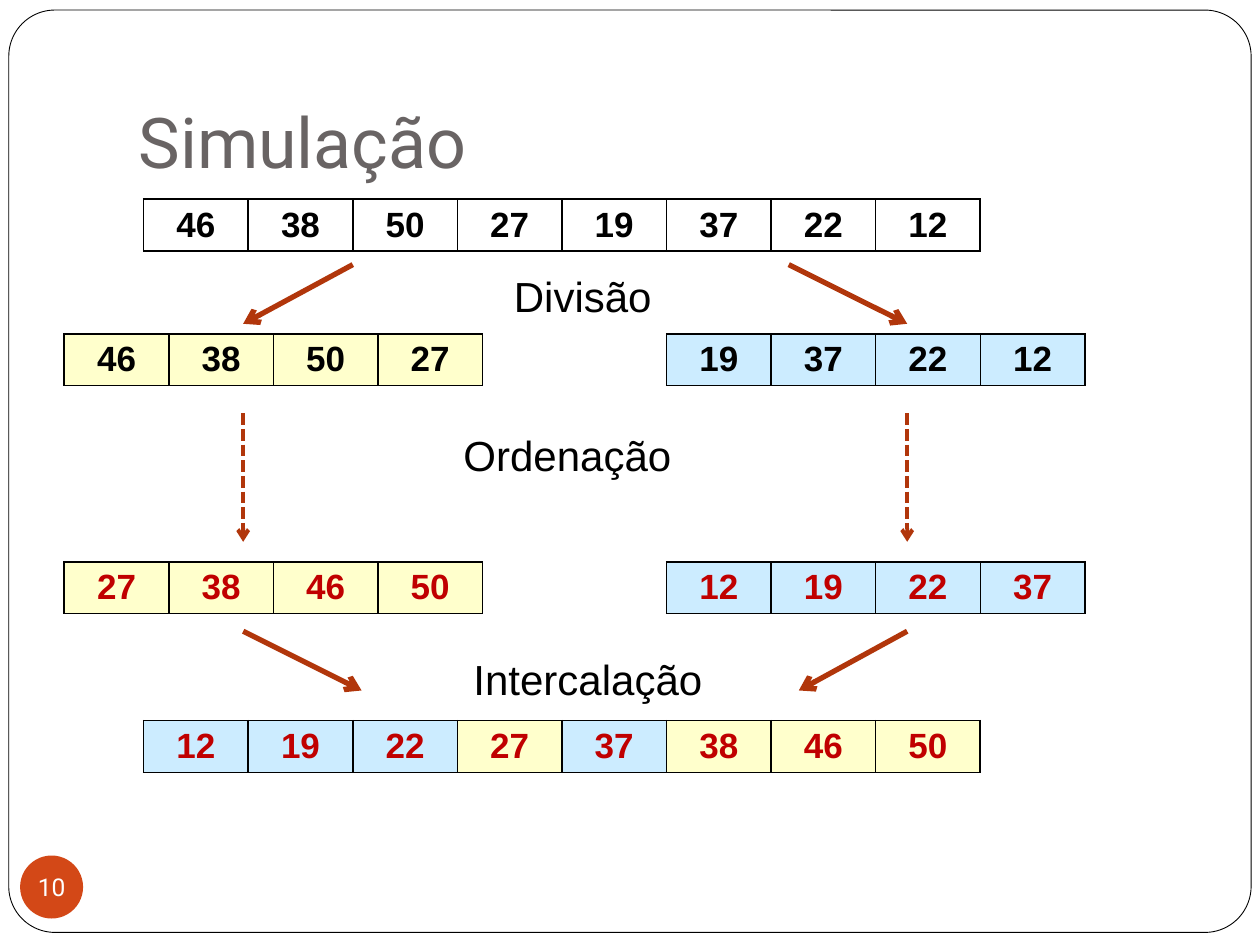
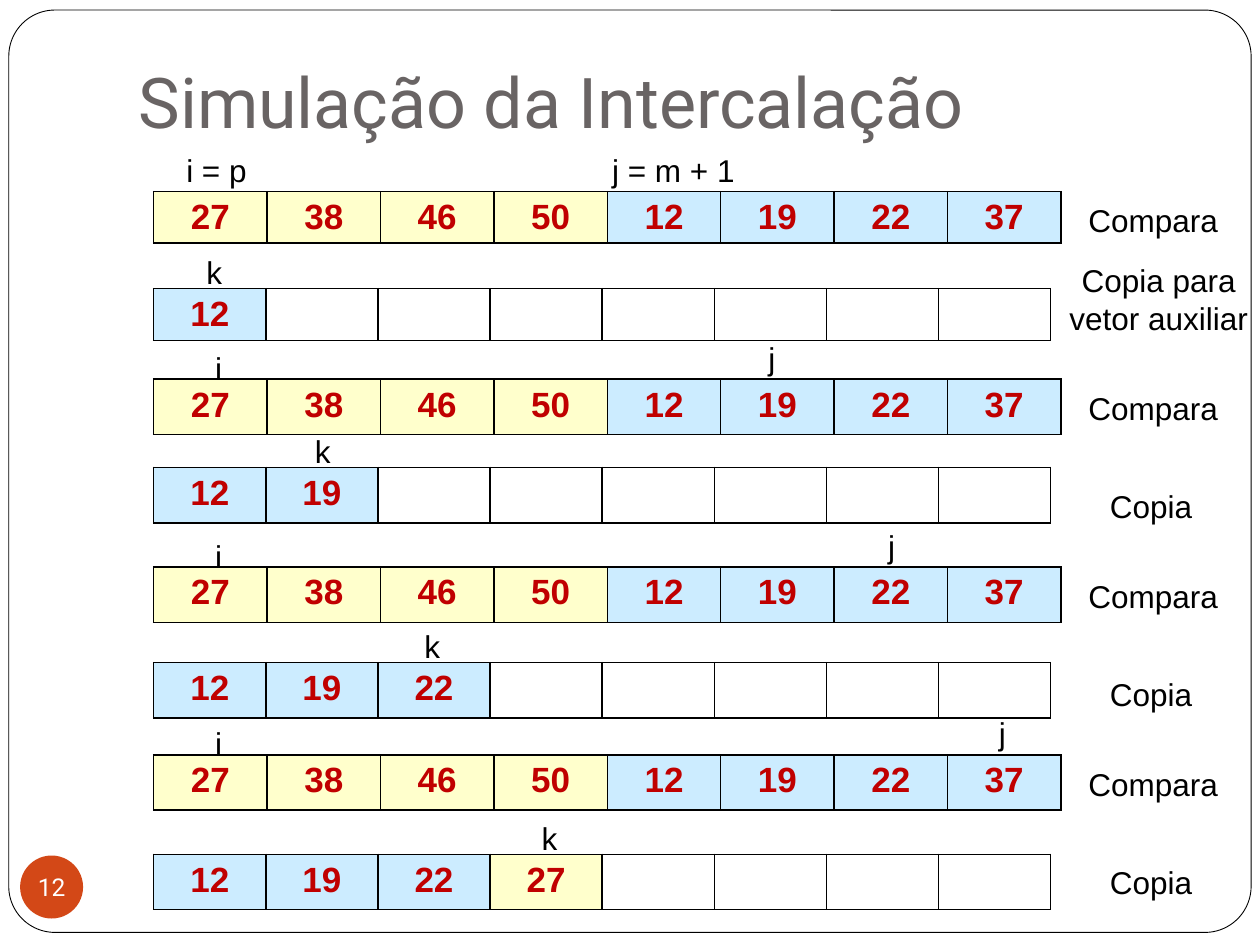
from lxml import etree
from pptx import Presentation
from pptx.dml.color import RGBColor
from pptx.enum.dml import MSO_LINE
from pptx.enum.shapes import MSO_CONNECTOR, MSO_SHAPE
from pptx.enum.text import MSO_ANCHOR, MSO_AUTO_SIZE, PP_ALIGN
from pptx.oxml.ns import qn
from pptx.util import Inches, Pt

STRAIGHT = MSO_CONNECTOR.STRAIGHT
DASH = MSO_LINE.SQUARE_DOT
CENTER, LEFT = PP_ALIGN.CENTER, PP_ALIGN.LEFT

HEX = {
    "white": "FFFFFF", "black": "000000", "title": "696464", "badge": "D34817",
    "arrow": "B1360B", "left half": "FFFFCC", "right half": "CCECFF", "sorted": "C00000",
}
COLOR = {name: RGBColor.from_string(value) for name, value in HEX.items()}
HEADING_FONT, BODY_FONT = "Roboto", "Arial"

UNSORTED = [46, 38, 50, 27, 19, 37, 22, 12]
LEFT_SORTED, RIGHT_SORTED = sorted(UNSORTED[:4]), sorted(UNSORTED[4:])
MERGED = sorted(UNSORTED)


def add_array(slide, values, x, y, cell_width, height=0.41, ink="sorted", tinted=True):
    """Draw an array as a one-row table, tinted by the half each value came from."""
    array = slide.shapes.add_table(1, len(values), Inches(x), Inches(y),
                                   Inches(cell_width * len(values)), Inches(height)).table
    array.first_row = array.horz_banding = False
    for column, cell, value in zip(array.columns, array.rows[0].cells, values):
        column.width = Inches(cell_width)
        # Borders come before the fill in the cell properties
        properties = cell._tc.get_or_add_tcPr()
        for side in ("a:lnL", "a:lnR", "a:lnT", "a:lnB"):
            border = etree.SubElement(properties, qn(side), w=str(Pt(1)))
            border_fill = etree.SubElement(border, qn("a:solidFill"))
            etree.SubElement(border_fill, qn("a:srgbClr"), val=HEX["black"])
        tint = "white"
        if tinted and value is not None:
            tint = "left half" if value in LEFT_SORTED else "right half"
        cell.fill.solid()
        cell.fill.fore_color.rgb = COLOR[tint]
        if value is not None:
            cell.text = str(value)
        paragraph = cell.text_frame.paragraphs[0]
        paragraph.alignment = CENTER
        paragraph.font.name, paragraph.font.size = BODY_FONT, Pt(20)
        paragraph.font.bold = True
        paragraph.font.color.rgb = COLOR[ink]


def add_label(slide, text, x, y, width, size=18, height=0.4, align=LEFT, wrap=False):
    label = slide.shapes.add_textbox(Inches(x), Inches(y), Inches(width), Inches(height))
    frame = label.text_frame
    frame.word_wrap = wrap
    if wrap:
        frame.margin_left = frame.margin_right = Inches(0.05)
    frame.text = text
    paragraph = frame.paragraphs[0]
    paragraph.alignment = align
    paragraph.font.name, paragraph.font.size = BODY_FONT, Pt(size)
    paragraph.font.color.rgb = COLOR["black"]


prs = Presentation()
prs.slide_width, prs.slide_height = Inches(10), Inches(7.5)

# Shared border, title and slide number
slides = []
for heading, number, title_height in (("Simulação", "10", 1.25),
                                      ("Simulação da Intercalação", "12", 0.93)):
    slide = prs.slides.add_slide(prs.slide_layouts[5])
    slides.append(slide)

    title = slide.shapes.title
    title.left, title.top = Inches(1), Inches(0.3)
    title.width, title.height = Inches(8.5), Inches(title_height)
    title.text = heading
    title.text_frame.auto_size = MSO_AUTO_SIZE.NONE
    title.text_frame.vertical_anchor = MSO_ANCHOR.BOTTOM
    title.text_frame.margin_bottom = Inches(0.1)
    paragraph = title.text_frame.paragraphs[0]
    paragraph.alignment = LEFT
    paragraph.font.name, paragraph.font.size = HEADING_FONT, Pt(40)
    paragraph.font.color.rgb = COLOR["title"]

    page_border = slide.shapes.add_shape(MSO_SHAPE.ROUNDED_RECTANGLE, Inches(0.07),
                                         Inches(0.08), Inches(9.86), Inches(7.32))
    page_border.adjustments[0] = 0.05
    page_border.shadow.inherit = False
    page_border.fill.solid()
    page_border.fill.fore_color.rgb = COLOR["white"]
    page_border.line.color.rgb = COLOR["black"]
    page_border.line.width = Pt(0.5)
    title.element.addprevious(page_border.element)

    badge = slide.shapes.add_shape(MSO_SHAPE.OVAL, Inches(0.16), Inches(6.79),
                                   Inches(0.5), Inches(0.5))
    badge.shadow.inherit = False
    badge.fill.solid()
    badge.fill.fore_color.rgb = COLOR["badge"]
    badge.line.fill.background()
    badge_text = badge.text_frame
    badge_text.margin_left = badge_text.margin_right = 0
    badge_text.margin_top = badge_text.margin_bottom = 0
    badge_text.word_wrap = False
    badge_text.vertical_anchor = MSO_ANCHOR.MIDDLE
    badge_text.text = number
    paragraph = badge_text.paragraphs[0]
    paragraph.alignment = CENTER
    paragraph.font.name, paragraph.font.size = HEADING_FONT, Pt(14)
    paragraph.font.color.rgb = COLOR["white"]

overview, merging = slides

# Overview: divide, sort and merge
CELL = 0.83
WHOLE_X, LEFT_X, RIGHT_X = 1.14, 0.51, 5.29
add_array(overview, UNSORTED, WHOLE_X, 1.58, CELL, ink="black", tinted=False)
add_array(overview, UNSORTED[:4], LEFT_X, 2.65, CELL, ink="black")
add_array(overview, UNSORTED[4:], RIGHT_X, 2.65, CELL, ink="black")
add_array(overview, LEFT_SORTED, LEFT_X, 4.46, CELL)
add_array(overview, RIGHT_SORTED, RIGHT_X, 4.46, CELL)
add_array(overview, MERGED, WHOLE_X, 5.72, CELL)

for step, x, y, width in (("Divisão", 3.98, 2.1, 1.31),
                          ("Ordenação", 3.58, 3.36, 1.87),
                          ("Intercalação", 3.66, 5.14, 2.04)):
    add_label(overview, step, x, y, width, size=24, height=0.5)

# Arrows between the stages; the sorting arrows are dashed
for x1, y1, x2, y2 in ((2.8, 2.1, 1.93, 2.57), (6.26, 2.1, 7.2, 2.57),
                       (1.93, 3.28, 1.93, 4.3), (7.2, 3.28, 7.2, 4.3),
                       (1.93, 5.01, 2.87, 5.48), (7.2, 5.01, 6.34, 5.48)):
    arrow = overview.shapes.add_connector(STRAIGHT, Inches(x1), Inches(y1),
                                          Inches(x2), Inches(y2))
    arrow.line.color.rgb = COLOR["arrow"]
    arrow.line.width = Pt(3)
    if x1 == x2:
        arrow.line.width = Pt(2.25)
        arrow.line.dash_style = DASH
    etree.SubElement(arrow.line._get_or_add_ln(), qn("a:tailEnd"), type="arrow")
    etree.SubElement(arrow.element.spPr, qn("a:effectLst"))

# Merging: each step compares two values, then copies the smaller one
ARRAY_X, STEP_GAP = 1.22, 1.49
AUXILIARY_Y = [2.29, 3.71, 5.26, 6.78]
J_X = [4.76, 6, 6.95, 7.83]
K_X = [1.54, 2.4, 3.27, 4.2]
for step, (auxiliary_y, j_x, k_x) in enumerate(zip(AUXILIARY_Y, J_X, K_X)):
    offset = step * STEP_GAP
    first = step == 0
    height = 0.41 if first else 0.44
    copied = MERGED[:step + 1]
    add_array(merging, LEFT_SORTED + RIGHT_SORTED, ARRAY_X, 1.52 + offset, 0.9, height)
    add_array(merging, copied + [None] * (8 - len(copied)), ARRAY_X, auxiliary_y, 0.89, height)

    # Index markers above the cells
    if first:
        add_label(merging, "i = p", 1.38, 1.15, 0.69)
        add_label(merging, "j = m + 1", j_x, 1.15, 1.18)
    else:
        add_label(merging, "i", 1.61, 1.23 + offset, 0.26)
        add_label(merging, "j", j_x, 1.15 + offset, 0.26)
    add_label(merging, "k", k_x, auxiliary_y - 0.33, 0.33)

    # Action names on the right
    add_label(merging, "Compara", 8.54, 1.55 + offset, 1.24)
    if first:
        add_label(merging, "Copia para vetor auxiliar", 8.39, 2.02, 1.61,
                  height=1.01, align=CENTER, wrap=True)
    else:
        add_label(merging, "Copia", 8.71, 2.33 + offset, 0.86)

prs.save("out.pptx")
